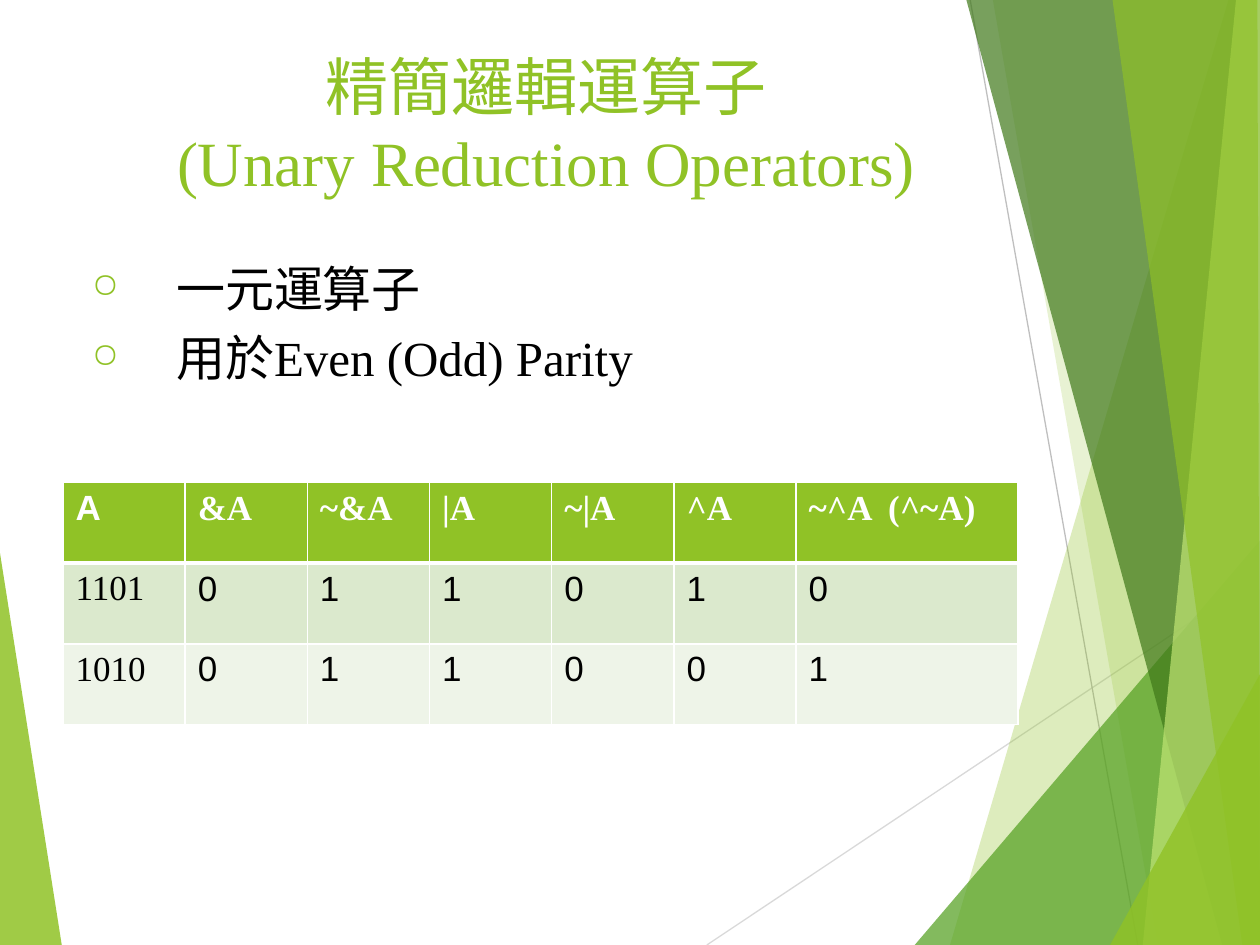
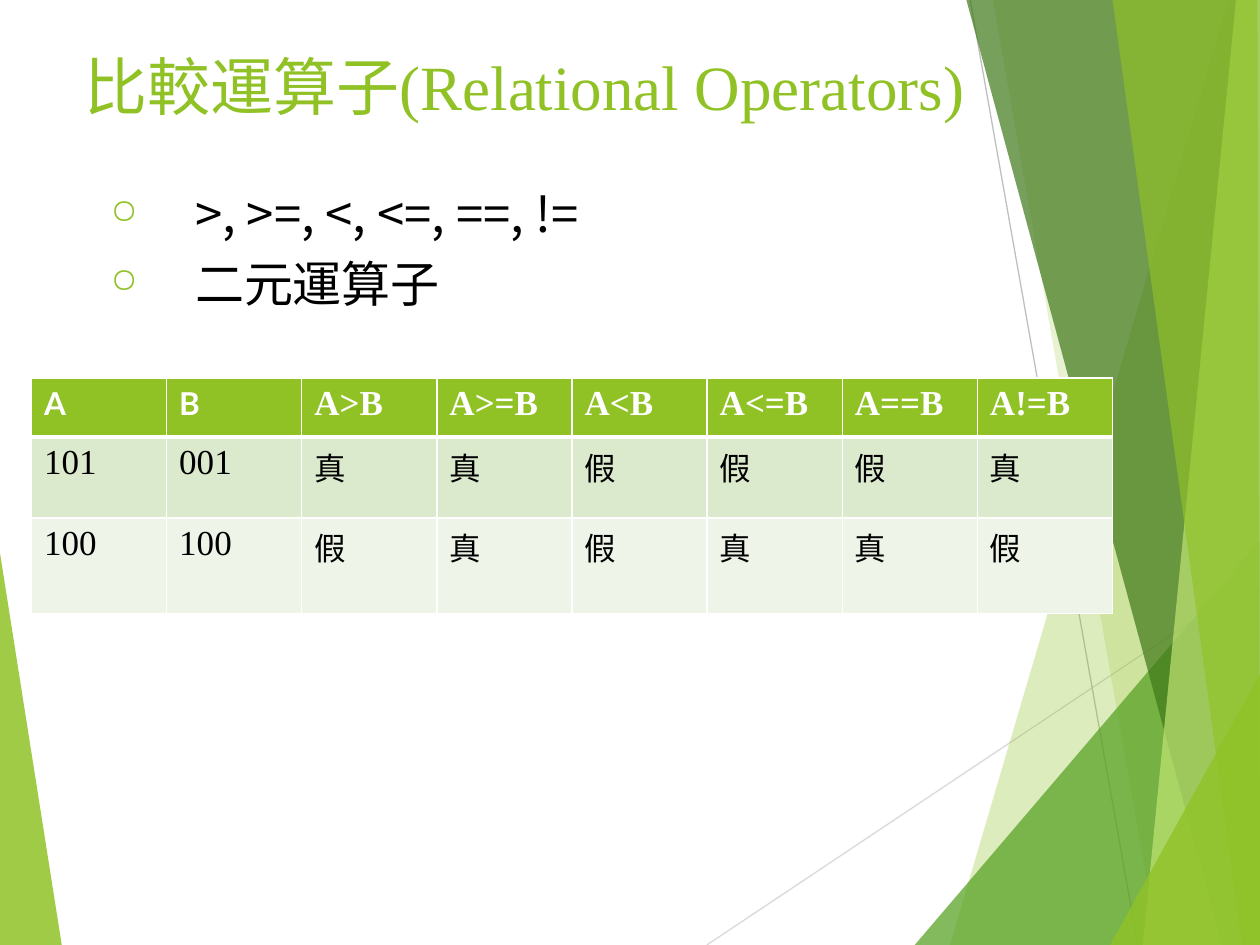
from dataclasses import dataclass

from lxml import etree
from pptx import Presentation
from pptx.dml.color import RGBColor
from pptx.enum.shapes import MSO_CONNECTOR
from pptx.enum.text import MSO_ANCHOR, PP_ALIGN
from pptx.oxml.ns import qn
from pptx.slide import Slide
from pptx.table import _Cell
from pptx.text.text import Font
from pptx.util import Inches, Pt

STRAIGHT = MSO_CONNECTOR.STRAIGHT
CENTER = PP_ALIGN.CENTER
TOP = MSO_ANCHOR.TOP

Point = tuple[float, float]
Box = tuple[float, float, float, float]


@dataclass(frozen=True)
class Theme:
    lime: str = "90C226"
    green: str = "54A021"
    forest: str = "3F7819"
    pale_lime: str = "C0E474"
    light_grey: str = "D9D9D9"
    grey: str = "BFBFBF"
    white: str = "FFFFFF"
    black: str = "000000"
    body_rows: tuple[str, ...] = ("DBE9CD", "EEF4E8")
    serif: str = "Times New Roman"
    cjk: str = "Noto Sans CJK SC"
    title_size: int = 36
    bullet_size: int = 28
    table_size: int = 20
    hanging: float = 0.67


THEME = Theme()


@dataclass(frozen=True)
class Facet:
    points: tuple[Point, ...]
    color: str
    opacity: int


@dataclass(frozen=True)
class Ray:
    start: Point
    end: Point
    color: str


@dataclass(frozen=True)
class TextRun:
    text: str
    font: str = THEME.cjk


@dataclass(frozen=True)
class TruthTable:
    """Cells whose text is in symbols use symbol_font; the rest are serif."""
    left: float
    top: float
    column_widths: tuple[float, ...]
    row_heights: tuple[float, ...]
    rows: tuple[tuple[str, ...], ...]
    symbols: str
    symbol_font: str
    symbol_size: int


@dataclass(frozen=True)
class OperatorSlide:
    title: str
    title_box: Box
    bullets: tuple[tuple[TextRun, ...], ...]
    bullets_box: Box
    table: TruthTable


LEFT_FACET = Facet(((0, 4.39), (0.49, 7.5), (0, 7.5)), THEME.lime, 85)
RAYS = (
    Ray((5.61, 7.5), (10, 4.57), THEME.light_grey),
    Ray((7.7, 0), (9.03, 7.5), THEME.grey),
)
RIGHT_FACETS = (
    Facet(((9.75, 0), (7.54, 7.5), (10, 7.5), (10, 0)), THEME.lime, 30),
    Facet(((7.88, 0), (9.19, 7.5), (10, 7.5), (10, 0)), THEME.lime, 20),
    Facet(((7.26, 7.5), (10, 4.29), (10, 7.5)), THEME.green, 72),
    Facet(((7.67, 0), (9.7, 7.5), (10, 7.5), (10, 0)), THEME.forest, 70),
    Facet(((9.81, 0), (9.07, 7.5), (10, 7.5), (10, 0)), THEME.pale_lime, 70),
    Facet(((8.83, 0), (9.86, 7.5), (10, 7.5), (9.98, 0)), THEME.lime, 65),
    Facet(((8.81, 7.5), (10, 5.35), (10, 7.5)), THEME.lime, 80),
)

SLIDES = (
    OperatorSlide(
        title="精簡邏輯運算子\n(Unary Reduction Operators)",
        title_box=(0.25, 0.33, 8.17, 1.33),
        bullets=(
            (TextRun("一元運算子"),),
            (TextRun("用於"), TextRun("Even (Odd) Parity", THEME.serif)),
        ),
        bullets_box=(0.63, 2, 8.25, 1.25),
        table=TruthTable(
            left=0.5, top=3.83,
            column_widths=(0.97,) * 6 + (1.76,),
            row_heights=(0.64,) * 3,
            rows=(
                ("A", "&A", "~&A", "|A", "~|A", "^A", "~^A  (^~A)"),
                ("1101", "0", "1", "1", "0", "1", "0"),
                ("1010", "0", "1", "1", "0", "0", "1"),
            ),
            symbols="A 0 1", symbol_font="Arial", symbol_size=20,
        ),
    ),
    OperatorSlide(
        title="比較運算子(Relational Operators)",
        title_box=(0.08, 0.33, 8.17, 0.72),
        bullets=(
            (TextRun(">, >=, <, <=, ==, !="),),
            (TextRun("二元運算子"),),
        ),
        bullets_box=(0.78, 1.41, 8.25, 1.42),
        table=TruthTable(
            left=0.25, top=3,
            column_widths=(8.58 / 8,) * 8,
            row_heights=(0.47, 0.64, 0.76),
            rows=(
                ("A", "B", "A>B", "A>=B", "A<B", "A<=B", "A==B", "A!=B"),
                ("101", "001", "真", "真", "假", "假", "假", "真"),
                ("100", "100", "假", "真", "假", "真", "真", "假"),
            ),
            symbols="A B 真 假", symbol_font="Lato", symbol_size=18,
        ),
    ),
)


def rgb(color: str) -> RGBColor:
    return RGBColor.from_string(color)


def style_font(font: Font, size: int, color: str, name: str | None = None) -> None:
    font.size = Pt(size)
    font.color.rgb = rgb(color)
    if name:
        font.name = name


def add_xml(parent, tag: str, **attributes: str):
    return etree.SubElement(parent, qn(tag), attributes)


def draw_facet(slide: Slide, facet: Facet) -> None:
    first, *others = [(Inches(x), Inches(y)) for x, y in facet.points]
    builder = slide.shapes.build_freeform(*first)
    builder.add_line_segments(others, close=True)
    outline = builder.convert_to_shape()
    outline.shadow.inherit = False
    outline.line.fill.background()
    outline.fill.solid()
    outline.fill.fore_color.rgb = rgb(facet.color)
    color = outline.fill._xPr.find(f".//{qn('a:srgbClr')}")
    add_xml(color, "a:alpha", val=str(facet.opacity * 1000))


def draw_ray(slide: Slide, ray: Ray) -> None:
    ends = [Inches(value) for value in ray.start + ray.end]
    line = slide.shapes.add_connector(STRAIGHT, *ends)
    line.line.color.rgb = rgb(ray.color)
    line.line.width = Pt(0.75)
    add_xml(line._element.spPr, "a:effectLst")


def draw_backdrop(slide: Slide) -> None:
    draw_facet(slide, LEFT_FACET)
    for ray in RAYS:
        draw_ray(slide, ray)
    for facet in RIGHT_FACETS:
        draw_facet(slide, facet)


def add_text_frame(slide: Slide, box: Box):
    frame = slide.shapes.add_textbox(*map(Inches, box)).text_frame
    frame.word_wrap = True
    frame.vertical_anchor = TOP
    return frame


def draw_title(slide: Slide, title: str, box: Box) -> None:
    heading = add_text_frame(slide, box).paragraphs[0]
    heading.text = title
    heading.alignment = CENTER
    style_font(heading.font, THEME.title_size, THEME.lime, THEME.serif)


def add_ring_bullet(paragraph) -> None:
    properties = paragraph._p.get_or_add_pPr()
    properties.set("marL", str(Inches(THEME.hanging)))
    properties.set("indent", str(-Inches(THEME.hanging)))
    add_xml(add_xml(properties, "a:buClr"), "a:srgbClr", val=THEME.lime)
    add_xml(properties, "a:buSzPct", val="70000")
    add_xml(properties, "a:buChar", char="○")


def draw_bullets(slide: Slide, bullets: tuple[tuple[TextRun, ...], ...], box: Box) -> None:
    frame = add_text_frame(slide, box)
    for index, bullet in enumerate(bullets):
        paragraph = frame.add_paragraph() if index else frame.paragraphs[0]
        add_ring_bullet(paragraph)
        paragraph.space_before = Pt(6)
        style_font(paragraph.font, THEME.bullet_size, THEME.black)
        for part in bullet:
            run = paragraph.add_run()
            run.text = part.text
            run.font.name = part.font


def add_borders(cell: _Cell, top: float, bottom: float) -> None:
    properties = cell._tc.get_or_add_tcPr()
    for side, width in (("L", 1), ("R", 1), ("T", top), ("B", bottom)):
        border = add_xml(properties, f"a:ln{side}", w=str(Pt(width)))
        add_xml(add_xml(border, "a:solidFill"), "a:srgbClr", val=THEME.white)


def draw_table(slide: Slide, truth: TruthTable) -> None:
    widths = [Inches(width) for width in truth.column_widths]
    heights = [Inches(height) for height in truth.row_heights]
    grid = slide.shapes.add_table(
        len(heights), len(widths), Inches(truth.left), Inches(truth.top),
        sum(widths), sum(heights)).table
    for column, width in zip(grid.columns, widths):
        column.width = width
    fills = (THEME.lime,) + THEME.body_rows
    symbols = truth.symbols.split()
    for r, (values, height, fill) in enumerate(zip(truth.rows, heights, fills)):
        grid.rows[r].height = height
        for c, value in enumerate(values):
            cell = grid.cell(r, c)
            add_borders(cell, top=3 if r == 1 else 1, bottom=3 if r == 0 else 1)
            cell.fill.solid()
            cell.fill.fore_color.rgb = rgb(fill)
            entry = cell.text_frame.paragraphs[0]
            entry.text = value
            entry.font.bold = r == 0
            is_symbol = value in symbols
            style_font(entry.font,
                       truth.symbol_size if is_symbol else THEME.table_size,
                       THEME.black if r else THEME.white,
                       truth.symbol_font if is_symbol else THEME.serif)


def main() -> None:
    deck = Presentation()
    deck.slide_width, deck.slide_height = Inches(10), Inches(7.5)
    blank = deck.slide_layouts[6]
    for content in SLIDES:
        slide = deck.slides.add_slide(blank)
        draw_backdrop(slide)
        draw_title(slide, content.title, content.title_box)
        draw_bullets(slide, content.bullets, content.bullets_box)
        draw_table(slide, content.table)
    deck.save("out.pptx")


if __name__ == "__main__":
    main()
